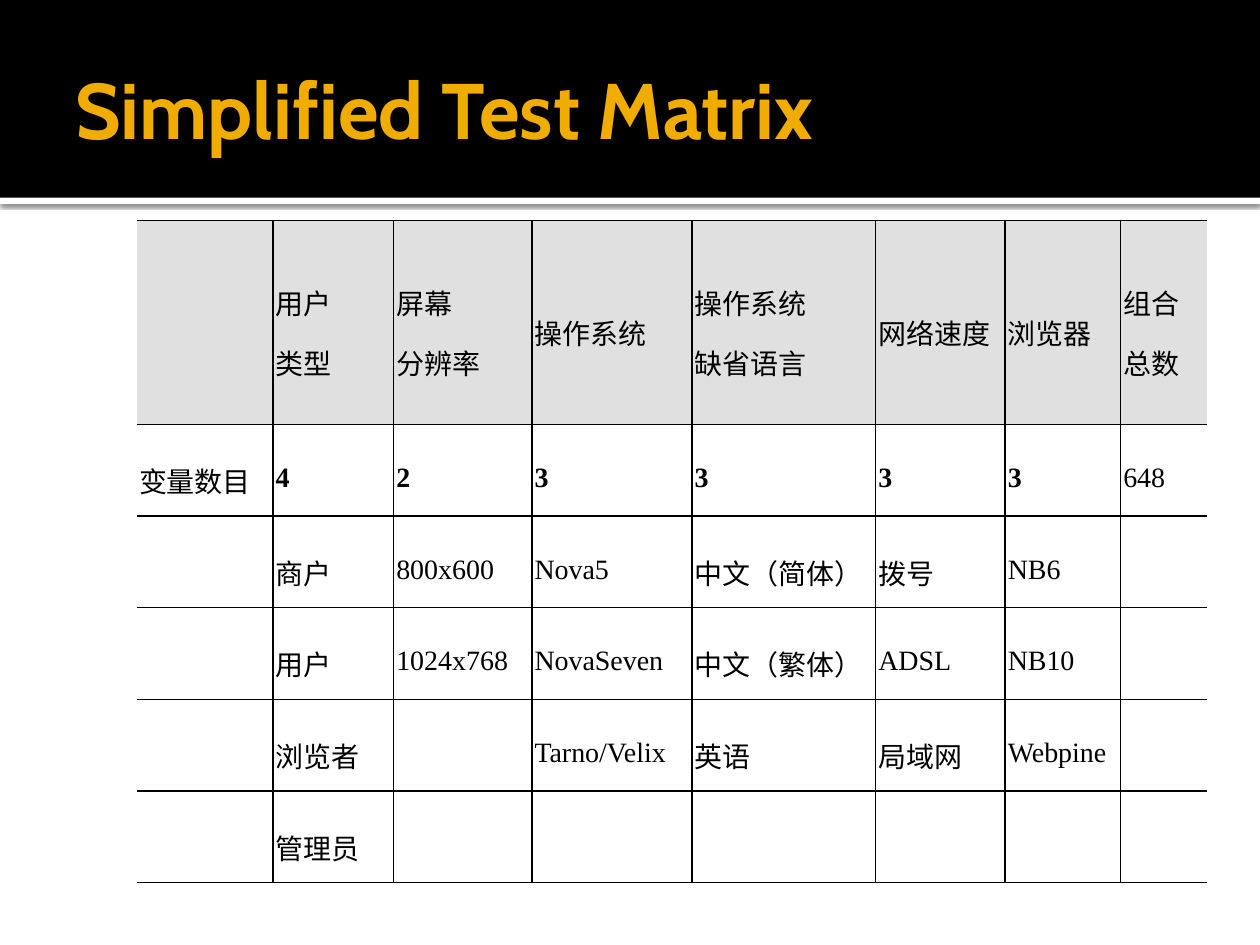
from lxml import etree
from pptx import Presentation
from pptx.dml.color import RGBColor
from pptx.enum.shapes import MSO_SHAPE
from pptx.enum.text import MSO_ANCHOR, PP_ALIGN
from pptx.oxml.ns import qn
from pptx.util import Pt

RECTANGLE = MSO_SHAPE.RECTANGLE
MIDDLE = MSO_ANCHOR.MIDDLE
JUSTIFY = PP_ALIGN.JUSTIFY

COLORS = {"black": "000000", "white": "FFFFFF", "gold": "F0AD00", "header": "E0E0E0"}

COLUMN_WIDTHS = [78, 69, 79, 91.5, 105, 74, 66, 49.5]
HEADER_HEIGHT, ROW_HEIGHT = 116.5, 52.4
MATRIX = [
    ["", "用户\n类型", "屏幕\n分辨率", "操作系统", "操作系统\n缺省语言", "网络速度", "浏览器", "组合\n总数"],
    ["变量数目", "4", "2", "3", "3", "3", "3", "648"],
    ["", "商户", "800x600", "Nova5", "中文（简体）", "拨号", "NB6", ""],
    ["", "用户", "1024x768", "NovaSeven", "中文（繁体）", "ADSL", "NB10", ""],
    ["", "浏览者", "", "Tarno/Velix", "英语", "局域网", "Webpine", ""],
    ["", "管理员", "", "", "", "", "", ""],
]


def color(name):
    return RGBColor.from_string(COLORS[name])


class SlideBuilder:
    """Holds the style and the current page; lengths are in points."""

    title_font, header_font, body_font = "Cabin", "Arial", "Times New Roman"
    title_size, cell_size = 45, 16
    border_width = 1

    def __init__(self, page):
        self.page = page

    def format_runs(self, para, font, size, fill, bold):
        for span in para.runs:
            span.font.name = font
            span.font.size = Pt(size)
            span.font.bold = bold
            span.font.color.rgb = color(fill)

    def band(self, left, top, width, height, fill):
        box = self.page.shapes.add_shape(RECTANGLE, Pt(left), Pt(top), Pt(width), Pt(height))
        box.shadow.inherit = False
        box.fill.solid()
        box.fill.fore_color.rgb = color(fill)
        box.line.fill.background()
        return box

    def drop_shadow(self, box):
        effects = box.element.spPr.find(qn("a:effectLst"))
        shadow = etree.SubElement(effects, qn("a:outerShdw"), blurRad=str(Pt(2.5)),
                                  dist=str(Pt(0.8)), dir="5400000", algn="tl", rotWithShape="0")
        tint = etree.SubElement(shadow, qn("a:srgbClr"), val=COLORS["black"])
        etree.SubElement(tint, qn("a:alpha"), val="60000")

    def title(self, text, left, top, width, height):
        box = self.page.shapes.add_textbox(Pt(left), Pt(top), Pt(width), Pt(height))
        frame = box.text_frame
        frame.text = text
        frame.word_wrap = True
        frame.vertical_anchor = MIDDLE
        frame.margin_left = Pt(7.2)
        frame.margin_right = frame.margin_top = frame.margin_bottom = Pt(3.6)
        self.format_runs(frame.paragraphs[0], self.title_font, self.title_size, "gold", True)

    def borders(self, cell, open_sides):
        """Rule every side of the cell except the open ones."""
        properties = cell._tc.get_or_add_tcPr()
        for side in "LRTB":
            line = etree.SubElement(properties, qn(f"a:ln{side}"), w=str(Pt(self.border_width)))
            if side in open_sides:
                etree.SubElement(line, qn("a:noFill"))
            else:
                fill = etree.SubElement(line, qn("a:solidFill"))
                etree.SubElement(fill, qn("a:srgbClr"), val=COLORS["black"])

    def cell(self, cell, text, font, bold):
        cell.vertical_anchor = MIDDLE
        cell.margin_left = cell.margin_right = Pt(1.5)
        cell.margin_top = cell.margin_bottom = 0
        cell.text_frame.text = text
        for para in cell.text_frame.paragraphs:
            para.alignment = JUSTIFY
            para.line_spacing = 1.5
            self.format_runs(para, font, self.cell_size, "black", bold)

    def table(self, rows, left, top, widths, heights):
        table = self.page.shapes.add_table(len(rows), len(widths), Pt(left), Pt(top),
                                           Pt(sum(widths)), Pt(sum(heights))).table
        table.first_row = table.horz_banding = False
        for column, width in zip(table.columns, widths):
            column.width = Pt(width)
        last = len(widths) - 1
        for r, (texts, height) in enumerate(zip(rows, heights)):
            table.rows[r].height = Pt(height)
            for c, text in enumerate(texts):
                cell = table.cell(r, c)
                font = self.body_font if r else self.header_font
                self.cell(cell, text, font, r == 1 and 0 < c < last)
                self.borders(cell, {0: "L", last: "R"}.get(c, ""))
                if r == 0:
                    cell.fill.solid()
                    cell.fill.fore_color.rgb = color("header")
                else:
                    cell.fill.background()


def main():
    deck = Presentation()
    deck.slide_width, deck.slide_height = Pt(720), Pt(540)
    page = deck.slides.add_slide(deck.slide_layouts[6])
    page.background.fill.solid()
    page.background.fill.fore_color.rgb = color("white")

    builder = SlideBuilder(page)
    builder.drop_shadow(builder.band(0, 113, 720, 3.6, "white"))
    builder.band(0, 0, 720, 113, "black")
    builder.title("Simplified Test Matrix", 36, 12.5, 648, 98.5)
    heights = [HEADER_HEIGHT] + [ROW_HEIGHT] * (len(MATRIX) - 1)
    builder.table(MATRIX, 78, 126, COLUMN_WIDTHS, heights)
    deck.save("out.pptx")


if __name__ == "__main__":
    main()
